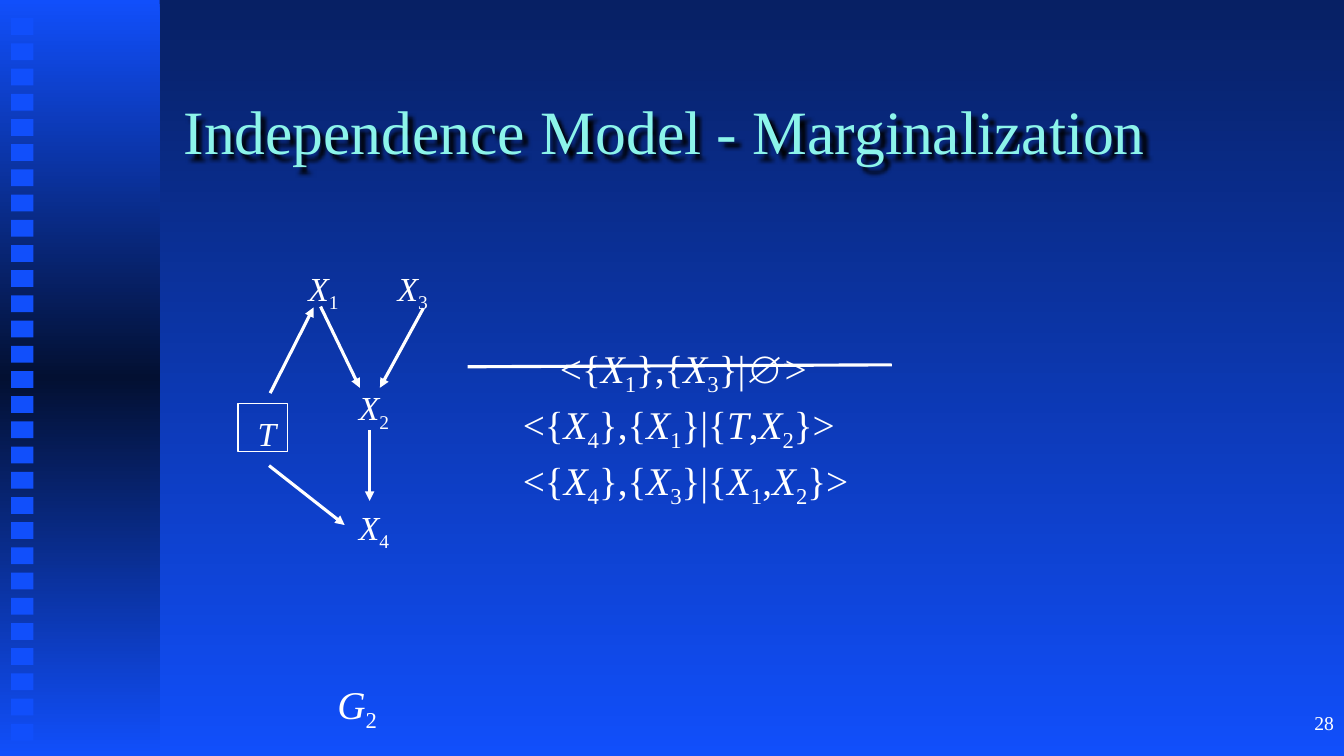
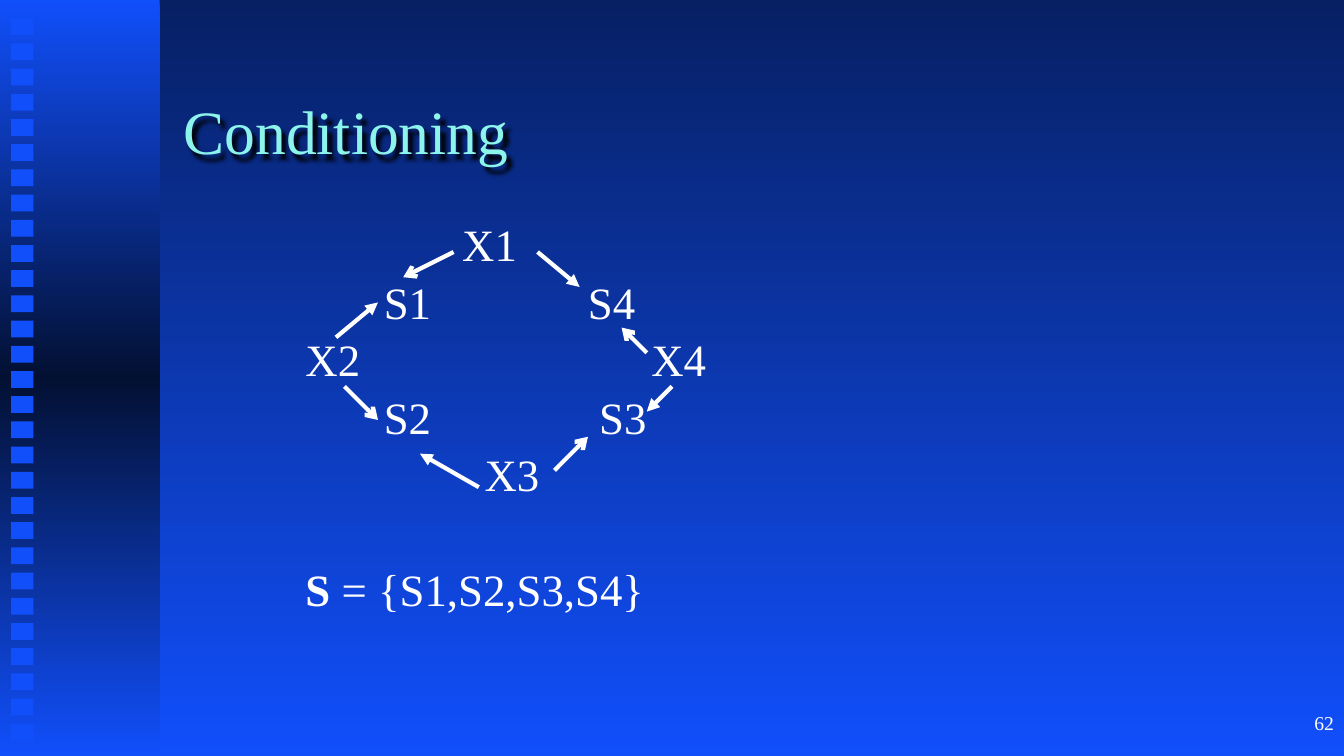
import copy
import itertools

import lxml.etree
import pptx
import pptx.dml.color
import pptx.enum.shapes
import pptx.enum.text
import pptx.oxml.ns
import pptx.util

Pt = pptx.util.Pt
RGB = pptx.dml.color.RGBColor.from_string
qn = pptx.oxml.ns.qn
ALIGN = pptx.enum.text.PP_ALIGN
ANCHOR = pptx.enum.text.MSO_ANCHOR
RECT = pptx.enum.shapes.MSO_SHAPE.RECTANGLE
STRAIGHT = pptx.enum.shapes.MSO_CONNECTOR.STRAIGHT

THEME = {
    "font": "Times New Roman",
    "white": "FFFFFF",
    "title": "8CF4EA",
    "blue": "114FFB",
    "navy": "072064",
    "night": "031032",
    "title_size": 44,
    "node_size": 32,
    "formula_size": 28,
    "graph_size": 24,
    "number_size": 14,
}
ASCENT = 0.89
NO_MARGINS = {f"margin_{side}": 0 for side in ("left", "top", "right", "bottom")}
MATH = {"letter": {"italic": True}, "digit": {"subscript": True}, "sign": {}}


def paint_gradient(fill, element, colors):
    fill.gradient()
    fill.gradient_angle = 270
    first = element.find(".//" + qn("a:gs"))
    for _ in colors[2:]:
        first.addnext(copy.deepcopy(first))
    for i, (stop, color) in enumerate(zip(fill.gradient_stops, colors)):
        stop.position = i / (len(colors) - 1)
        stop.color.rgb = RGB(color)


def add_text(sl, box, runs, size, color, align=ALIGN.LEFT, frame=None):
    sp = sl.shapes.add_textbox(*map(Pt, box))
    tf = sp.text_frame
    for name, value in {"word_wrap": True, **(frame or {})}.items():
        setattr(tf, name, value)
    p = tf.paragraphs[0]
    p.alignment = align
    for text, style in runs:
        r = p.add_run()
        r.text = text
        r.font.color.rgb = RGB(THEME[color])
        style = {"name": THEME["font"], "size": Pt(THEME[size]), **style}
        if style.pop("subscript", False):
            r.font.italic = False
            r.font._element.set("baseline", "-25000")
        for name, value in style.items():
            setattr(r.font, name, value)
    return sp


formulas = [
    (400, 270.5, "<{X1},{X3}|∅>", "formula_size"),
    (373.5, 310.5, "<{X4},{X1}|{T,X2}>", "formula_size"),
    (373.5, 350.5, "<{X4},{X3}|{X1,X2}>", "formula_size"),
    (241, 510.5, "G2", "formula_size"),
    (220.3, 212.5, "X1", "graph_size"),
    (284, 212.5, "X3", "graph_size"),
    (256.3, 298, "X2", "graph_size"),
    (256.3, 383.5, "X4", "graph_size"),
    (184, 316, "T", "graph_size"),
]
marginal_labels = []
for x, baseline, text, size in formulas:
    kinds = itertools.groupby(
        text, lambda c: "letter" if c.isalpha() else "digit" if c.isdigit() else "sign")
    runs = [("".join(chars), MATH[kind]) for kind, chars in kinds]
    marginal_labels.append((x, baseline, runs, size))

nodes = [
    (330.2, 0, "X1"), (274.2, 1, "S1"), (420, 1, "S4"), (218.2, 2, "X2"),
    (465.3, 2, "X4"), (274.2, 3, "S2"), (428, 3, "S3"), (346.2, 4, "X3"),
]
conditioning_labels = [
    (x, 183.5 + 41 * row, [(text, {})], "node_size") for x, row, text in nodes]
conditioning_labels.append(
    (218.2, 429.5, [("S", {"bold": True}), (" = {S1,S2,S3,S4}", {})], "node_size"))

slides = [
    {
        "title": "Independence Model - Marginalization",
        "number": "28",
        "labels": marginal_labels,
        "frames": [(170, 288, 35.3, 34.5)],
        "line_width": 2.25,
        "lines": [
            (334, 262, 637, 260.6, None),
            (229, 219, 257, 277, "triangle"),
            (302.4, 220.3, 271.4, 277, "triangle"),
            (264, 307.4, 264, 357.8, "triangle"),
            (193, 280.8, 224, 219.6, "triangle"),
            (192.2, 332.6, 246.2, 375, "triangle"),
        ],
    },
    {
        "title": "Conditioning",
        "number": "62",
        "labels": conditioning_labels,
        "frames": [],
        "line_width": 3,
        "lines": [
            (240, 241, 270, 216, "triangle"),
            (342, 348, 300, 324, "triangle"),
            (324, 180, 288, 198, "arrow"),
            (246, 276, 270, 300, "arrow"),
            (384, 180, 414, 205, "triangle"),
            (480, 276, 462, 294, "triangle"),
            (462, 252, 444, 234, "arrow"),
            (396, 336, 420, 312, "arrow"),
        ],
    },
]

prs = pptx.Presentation()
prs.slide_width = Pt(960)
prs.slide_height = Pt(540)

for content in slides:
    sl = prs.slides.add_slide(prs.slide_layouts[6])
    paint_gradient(sl.background.fill, sl.element, [THEME["navy"], THEME["blue"]])

    band = sl.shapes.add_shape(RECT, 0, 0, Pt(114), Pt(539.5))
    band.shadow.inherit = False
    band.line.fill.background()
    paint_gradient(band.fill, band.element, [THEME["blue"], THEME["night"], THEME["blue"]])

    for i in range(29):
        sp = sl.shapes.add_shape(RECT, Pt(8), Pt(13 + 18 * i), Pt(16), Pt(12))
        sp.shadow.inherit = False
        sp.fill.solid()
        sp.fill.fore_color.rgb = RGB(THEME["blue"])
        sp.line.fill.background()

    title = add_text(sl, (124, 48, 810, 90), [(content["title"], {})], "title_size", "title",
                     frame={"vertical_anchor": ANCHOR.MIDDLE})
    effects = lxml.etree.SubElement(title.element.spPr, qn("a:effectLst"))
    shadow = lxml.etree.SubElement(
        effects, qn("a:outerShdw"), blurRad="38100", dist="50800", dir="2700000")
    lxml.etree.SubElement(shadow, qn("a:srgbClr"), val="000000")

    for x, y, w, h in content["frames"]:
        sp = sl.shapes.add_shape(RECT, Pt(x), Pt(y), Pt(w), Pt(h))
        sp.shadow.inherit = False
        sp.fill.background()
        sp.line.color.rgb = RGB(THEME["white"])
        sp.line.width = Pt(1)

    for x, baseline, runs, size in content["labels"]:
        points = THEME[size]
        length = sum(len(text) for text, _ in runs)
        box = (x, baseline - ASCENT * points, 0.7 * points * length, 1.2 * points)
        add_text(sl, box, runs, size, "white", frame=NO_MARGINS)

    for x1, y1, x2, y2, arrowhead in content["lines"]:
        line = sl.shapes.add_connector(STRAIGHT, Pt(x1), Pt(y1), Pt(x2), Pt(y2))
        line.line.color.rgb = RGB(THEME["white"])
        line.line.width = Pt(content["line_width"])
        spPr = line.element.spPr
        if arrowhead:
            lxml.etree.SubElement(spPr.find(qn("a:ln")), qn("a:tailEnd"), type=arrowhead)
        lxml.etree.SubElement(spPr, qn("a:effectLst"))

    add_text(sl, (760, 504, 200, 36), [(content["number"], {})], "number_size", "white",
             align=ALIGN.RIGHT)

prs.save("out.pptx")
